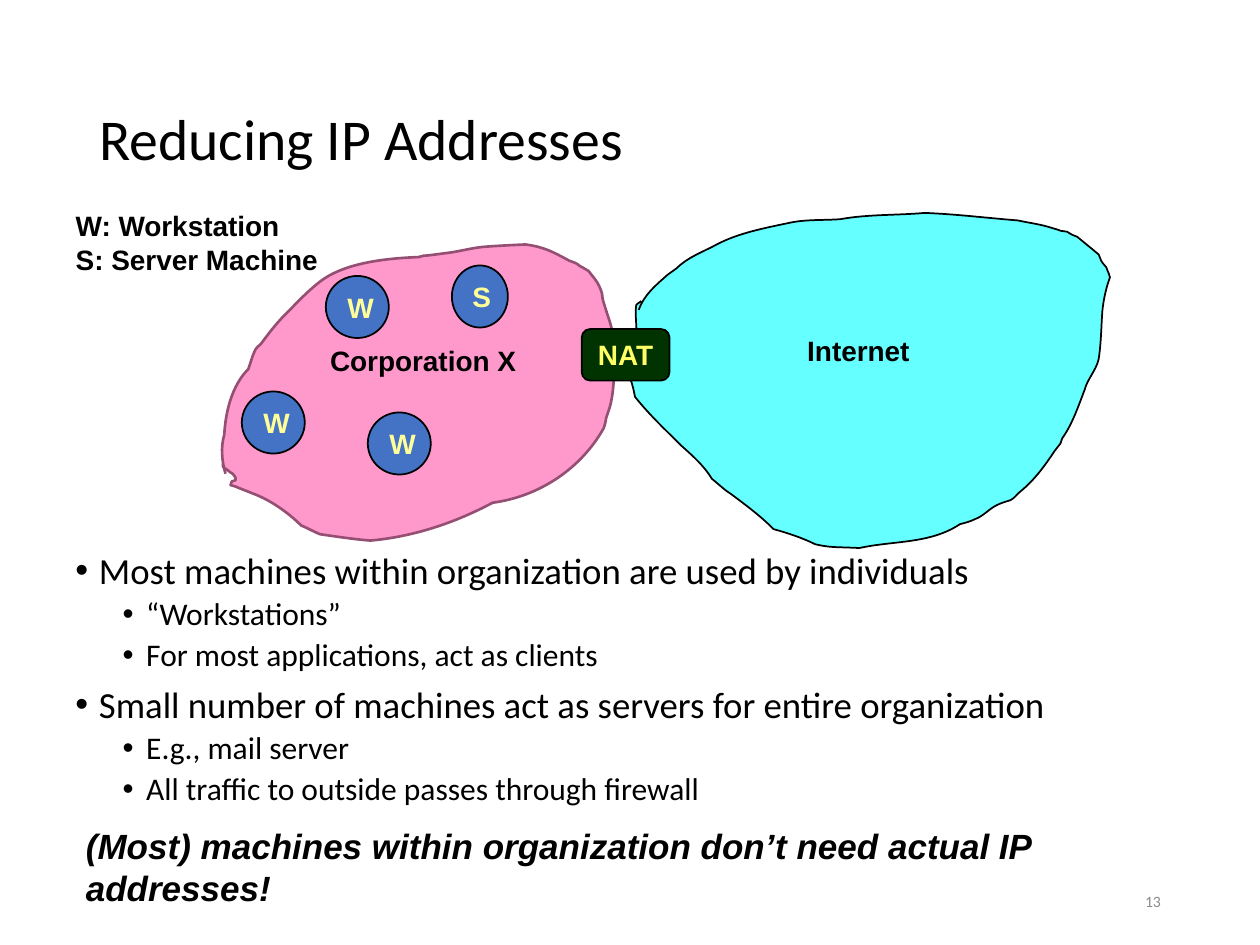
from lxml import etree
from pptx import Presentation
from pptx import util as u
from pptx.dml.color import RGBColor
from pptx.enum import shapes, text
from pptx.oxml.ns import qn

COLORS = {
    "black": "000000", "gray": "8C8C8C", "internet": "66FFFF",
    "corporation": "FF99CC", "corporation_line": "954F72", "machine": "4472C4",
    "machine_text": "FFFF99", "nat": "003300", "nat_text": "FFFF66",
}
GRID = 0.72  # points per unit of the cloud outlines

# Start point, then two handles and an end point for each curve.
INTERNET = [
    (507, 246), (511, 234), (521, 226), (530, 218), (532, 216), (535, 215), (537, 213),
    (546, 204), (558, 200), (569, 194), (586, 185), (607, 181), (626, 177),
    (639, 174), (654, 175), (667, 174), (689, 170), (712, 171), (734, 169),
    (759, 170), (783, 173), (808, 175), (817, 177), (826, 178), (835, 181),
    (849, 185), (835, 182), (847, 184), (850, 186), (852, 187), (855, 188),
    (861, 193), (866, 197), (872, 202), (873, 204), (873, 205), (874, 207),
    (875, 209), (878, 212), (878, 212), (879, 214), (879, 216), (880, 217),
    (880, 218), (881, 220), (881, 220), (878, 228), (876, 237), (875, 246),
    (874, 259), (874, 272), (872, 285), (870, 294), (863, 301), (861, 309),
    (856, 322), (851, 337), (843, 348), (841, 354), (843, 350), (837, 358),
    (829, 370), (821, 381), (810, 390), (807, 392), (806, 395), (802, 397),
    (799, 398), (795, 399), (791, 401), (785, 404), (780, 410), (774, 412),
    (770, 414), (766, 415), (762, 416), (738, 432), (709, 429), (682, 435),
    (664, 434), (660, 435), (647, 432), (637, 427), (625, 423), (614, 420),
    (603, 409), (592, 401), (580, 392), (575, 389), (570, 384), (565, 380),
    (559, 370), (550, 362), (541, 354), (529, 342), (516, 330), (504, 315),
    (503, 310), (502, 305), (500, 300), (501, 293), (502, 288), (504, 281),
    (504, 279), (508, 274), (508, 274), (509, 268), (508, 264), (505, 260),
    (505, 253), (504, 249), (505, 242), (506, 241), (509, 239), (509, 239),
]
CORPORATION = [
    (179, 376), (176, 366), (175, 355), (178, 345), (179, 327), (184, 306), (197, 293),
    (199, 288), (200, 283), (202, 279), (203, 276), (205, 275), (207, 273),
    (213, 265), (219, 257), (226, 250), (236, 240), (245, 230), (256, 222),
    (276, 208), (308, 205), (332, 204), (345, 201), (324, 205), (353, 201),
    (363, 200), (373, 197), (383, 196), (394, 195), (417, 194), (417, 194),
    (432, 196), (439, 200), (452, 207), (455, 208), (458, 209), (460, 211),
    (462, 212), (467, 215), (467, 215), (470, 219), (474, 223), (476, 228),
    (480, 238), (476, 231), (480, 243), (482, 250), (485, 257), (486, 264),
    (487, 283), (489, 304), (484, 323), (483, 326), (482, 329), (481, 332),
    (481, 333), (480, 338), (479, 340), (461, 372), (428, 394), (391, 399),
    (361, 415), (328, 426), (294, 429), (281, 428), (268, 426), (254, 424),
    (249, 422), (244, 419), (239, 417), (229, 407), (216, 398), (204, 393),
    (199, 391), (194, 389), (189, 387), (187, 386), (183, 385), (183, 385),
    (183, 384), (183, 383), (184, 382), (185, 381), (187, 382), (187, 381),
    (188, 379), (184, 375), (183, 375), (176, 369), (177, 373), (177, 367),
]
BULLETS = [
    (0, "Most machines within organization are used by individuals"),
    (1, "“Workstations”"),
    (1, "For most applications, act as clients"),
    (0, "Small number of machines act as servers for entire organization"),
    (1, "E.g., mail server"),
    (1, "All traffic to outside passes through firewall"),
]
MACHINES = [("W", 138.2, 223.7, 36), ("W", 186.2, 157.7, 36),
            ("W", 210.2, 235.7, 36), ("S", 258.2, 151.7, 32)]


def rgb(name):
    return RGBColor.from_string(COLORS[name])


def indent(paragraph, margin, hanging=0):
    properties = paragraph._p.get_or_add_pPr()
    properties.set("marL", str(u.Pt(margin)))
    properties.set("indent", str(-u.Pt(hanging)))
    return properties


def add_bullet(paragraph, margin, hanging):
    properties = indent(paragraph, margin, hanging)
    etree.SubElement(properties, qn("a:buFont")).set("typeface", "Arial")
    etree.SubElement(properties, qn("a:buChar")).set("char", "•")


def bend(shape, handles):
    """Turn each straight segment into a cubic curve with its pair of handles."""
    segments = list(shape._element.iter(qn("a:lnTo")))
    for segment, pair in zip(segments, handles):
        segment.tag = qn("a:cubicBezTo")
        for position, (x, y) in enumerate(pair):
            point = etree.Element(qn("a:pt"), x=str(x - shape.left), y=str(y - shape.top))
            segment.insert(position, point)


def write(paragraph, content, size=16, font="Arial", color="black", bold=False,
          italic=False, align=text.PP_ALIGN.LEFT, spacing=None, before=None):
    paragraph.text = content
    paragraph.alignment = align
    paragraph.line_spacing = spacing
    if before is not None:
        paragraph.space_before = u.Pt(before)
    style = paragraph.font
    style.size, style.name, style.bold, style.italic = u.Pt(size), font, bold, italic
    style.color.rgb = rgb(color)


class SlideBuilder:
    def __init__(self, presentation):
        self.slide = presentation.slides.add_slide(presentation.slide_layouts[5])
        self.shapes = self.slide.shapes

    def title(self, content, box):
        shape = self.shapes.title
        shape.left, shape.top, shape.width, shape.height = map(u.Pt, box)
        shape.text_frame.vertical_anchor = text.MSO_ANCHOR.MIDDLE
        write(shape.text_frame.paragraphs[0], content, size=33, font="Calibri", spacing=0.9)

    def label(self, lines, box, wrap=False, anchor=text.MSO_ANCHOR.TOP, margin=0, **style):
        frame = self.shapes.add_textbox(*map(u.Pt, box)).text_frame
        frame.word_wrap = wrap
        frame.vertical_anchor = anchor
        for i, line in enumerate(lines):
            paragraph = frame.add_paragraph() if i else frame.paragraphs[0]
            indent(paragraph, margin)
            write(paragraph, line, **style)

    def bullets(self, items, box):
        frame = self.shapes.add_textbox(*map(u.Pt, box)).text_frame
        frame.word_wrap = True
        for i, (level, content) in enumerate(items):
            paragraph = frame.add_paragraph() if i else frame.paragraphs[0]
            paragraph.level = level
            add_bullet(paragraph, 13.5 + 27 * level, 13.5)
            before = (3.75 if level else 7.5) if i else 0
            write(paragraph, content, size=18 if level else 21, font="Calibri",
                  spacing=0.9, before=before)

    def paint(self, shape, fill, line="black", weight=1):
        shape.shadow.inherit = False
        shape.fill.solid()
        shape.fill.fore_color.rgb = rgb(fill)
        shape.line.color.rgb = rgb(line)
        shape.line.width = u.Pt(weight)

    def cloud(self, outline, fill, **border):
        points = [(u.Pt(x * GRID), u.Pt(y * GRID)) for x, y in outline]
        builder = self.shapes.build_freeform(*points[0])
        builder.add_line_segments(points[3::3], close=False)
        shape = builder.convert_to_shape()
        bend(shape, zip(points[1::3], points[2::3]))
        self.paint(shape, fill, **border)

    def node(self, kind, content, box, fill, color, wrap=True):
        shape = self.shapes.add_shape(kind, *map(u.Pt, box))
        self.paint(shape, fill)
        shape.text_frame.word_wrap = wrap
        shape.text_frame.vertical_anchor = text.MSO_ANCHOR.MIDDLE
        write(shape.text_frame.paragraphs[0], content, color=color, bold=True,
              align=text.PP_ALIGN.CENTER)


def main():
    presentation = Presentation()
    presentation.slide_width, presentation.slide_height = u.Pt(720), u.Pt(540)
    builder = SlideBuilder(presentation)
    builder.title("Reducing IP Addresses", (49.5, 28.8, 621, 104.4))
    builder.bullets(BULLETS, (36, 312.2, 667.4, 180))
    builder.label(["13"], (508.5, 500.5, 162, 28.8), anchor=text.MSO_ANCHOR.MIDDLE,
                  size=9, font="Calibri", color="gray", align=text.PP_ALIGN.RIGHT)
    builder.label(["(Most) machines within organization don’t need actual IP addresses!"],
                  (6, 467.6, 700, 31), wrap=True, margin=36, size=20, bold=True, italic=True)
    builder.cloud(INTERNET, "internet")
    builder.label(["Internet"], (454.2, 187, 73.4, 26.6), bold=True)
    builder.cloud(CORPORATION, "corporation", line="corporation_line", weight=1.5)
    builder.label(["Corporation X"], (181.5, 193, 121, 26.6), bold=True)
    for name, left, top, width in MACHINES:
        builder.node(shapes.MSO_SHAPE.OVAL, name, (left, top, width, 35.5),
                     "machine", "machine_text")
    builder.node(shapes.MSO_SHAPE.ROUNDED_RECTANGLE, "NAT", (332.4, 188, 50.2, 29.5),
                 "nat", "nat_text", wrap=False)
    builder.label(["W: Workstation", "S: Server Machine"], (36.2, 115.7, 153.4, 46), bold=True)
    presentation.save("out.pptx")


if __name__ == "__main__":
    main()
